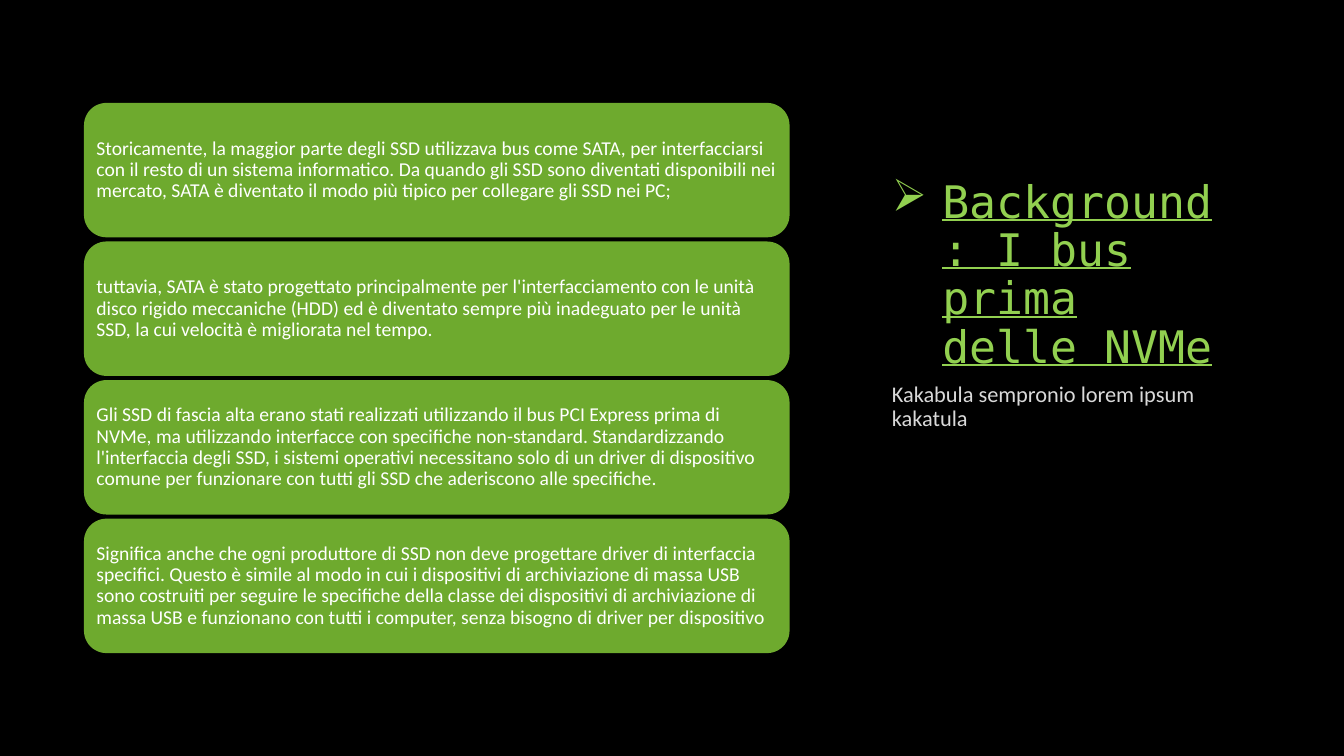
from lxml.etree import SubElement
from pptx import Presentation
from pptx.dml.color import RGBColor
from pptx.enum.shapes import MSO_SHAPE
from pptx.enum.text import MSO_ANCHOR, PP_ALIGN
from pptx.oxml.ns import qn
from pptx.util import Pt


def color(value):
    return RGBColor.from_string(value)


class BusSlide:
    """Holds the style and the current slide, and adds its elements."""

    body_font = "Calibri"
    title_font = "DejaVu Sans Mono"
    card_fill = "6EAA2E"

    def __init__(self, slide):
        self.slide = slide
        slide.background.fill.solid()
        slide.background.fill.fore_color.rgb = color("000000")

    def fill_text(self, frame, text, font, size, ink, anchor):
        frame.word_wrap = True
        frame.vertical_anchor = anchor
        frame.text = text
        paragraph = frame.paragraphs[0]
        paragraph.alignment = PP_ALIGN.LEFT
        paragraph.line_spacing = 0.9
        run = paragraph.runs[0]
        run.font.name = font
        run.font.size = Pt(size)
        run.font.color.rgb = color(ink)
        return paragraph

    def text(self, box, text, font, size, ink, anchor=MSO_ANCHOR.TOP):
        label = self.slide.shapes.add_textbox(*map(Pt, box))
        return self.fill_text(label.text_frame, text, font, size, ink, anchor)

    def title(self, box, text):
        heading = self.text(box, text, self.title_font, 32, "92D050", MSO_ANCHOR.BOTTOM)
        heading.runs[0].font.underline = True
        properties = heading._p.get_or_add_pPr()
        properties.set("marL", str(Pt(36)))
        properties.set("indent", str(Pt(-36)))
        SubElement(properties, qn("a:buChar"), char="➢")

    def card(self, box, text):
        card = self.slide.shapes.add_shape(MSO_SHAPE.ROUNDED_RECTANGLE, *map(Pt, box))
        card.shadow.inherit = False
        card.fill.solid()
        card.fill.fore_color.rgb = color(self.card_fill)
        card.line.fill.background()
        frame = card.text_frame
        frame.margin_left = frame.margin_right = Pt(4.2)
        frame.margin_top = frame.margin_bottom = Pt(4.2)
        self.fill_text(frame, text, self.body_font, 14, "FFFFFF", MSO_ANCHOR.MIDDLE)


FACTS = [
    "Storicamente, la maggior parte degli SSD utilizzava bus come SATA, per "
    "interfacciarsi con il resto di un sistema informatico. Da quando gli SSD sono "
    "diventati disponibili nei mercato, SATA è diventato il modo più tipico per "
    "collegare gli SSD nei PC;",
    "tuttavia, SATA è stato progettato principalmente per l'interfacciamento con le "
    "unità disco rigido meccaniche (HDD) ed è diventato sempre più inadeguato per le "
    "unità SSD, la cui velocità è migliorata nel tempo.",
    "Gli SSD di fascia alta erano stati realizzati utilizzando il bus PCI Express "
    "prima di NVMe, ma utilizzando interfacce con specifiche non-standard. "
    "Standardizzando l'interfaccia degli SSD, i sistemi operativi necessitano solo di "
    "un driver di dispositivo comune per funzionare con tutti gli SSD che aderiscono "
    "alle specifiche.",
    "Significa anche che ogni produttore di SSD non deve progettare driver di "
    "interfaccia specifici. Questo è simile al modo in cui i dispositivi di "
    "archiviazione di massa USB sono costruiti per seguire le specifiche della classe "
    "dei dispositivi di archiviazione di massa USB e funzionano con tutti i computer, "
    "senza bisogno di driver per dispositivo",
]
CARD_TOP, CARD_HEIGHT, CARD_PITCH = 73.5, 96, 99


def main():
    presentation = Presentation()
    presentation.slide_width = Pt(960)
    presentation.slide_height = Pt(540)
    page = BusSlide(presentation.slides.add_slide(presentation.slide_layouts[6]))

    page.title((630, 126, 245.6, 144), "Background: I bus prima delle NVMe")
    page.text((630, 270, 246, 144), "Kakabula sempronio lorem ipsum kakatula",
              page.body_font, 16, "D9D9D9")
    for row, fact in enumerate(FACTS):
        page.card((60, CARD_TOP + row * CARD_PITCH, 504, CARD_HEIGHT), fact)

    presentation.save("out.pptx")


if __name__ == "__main__":
    main()
